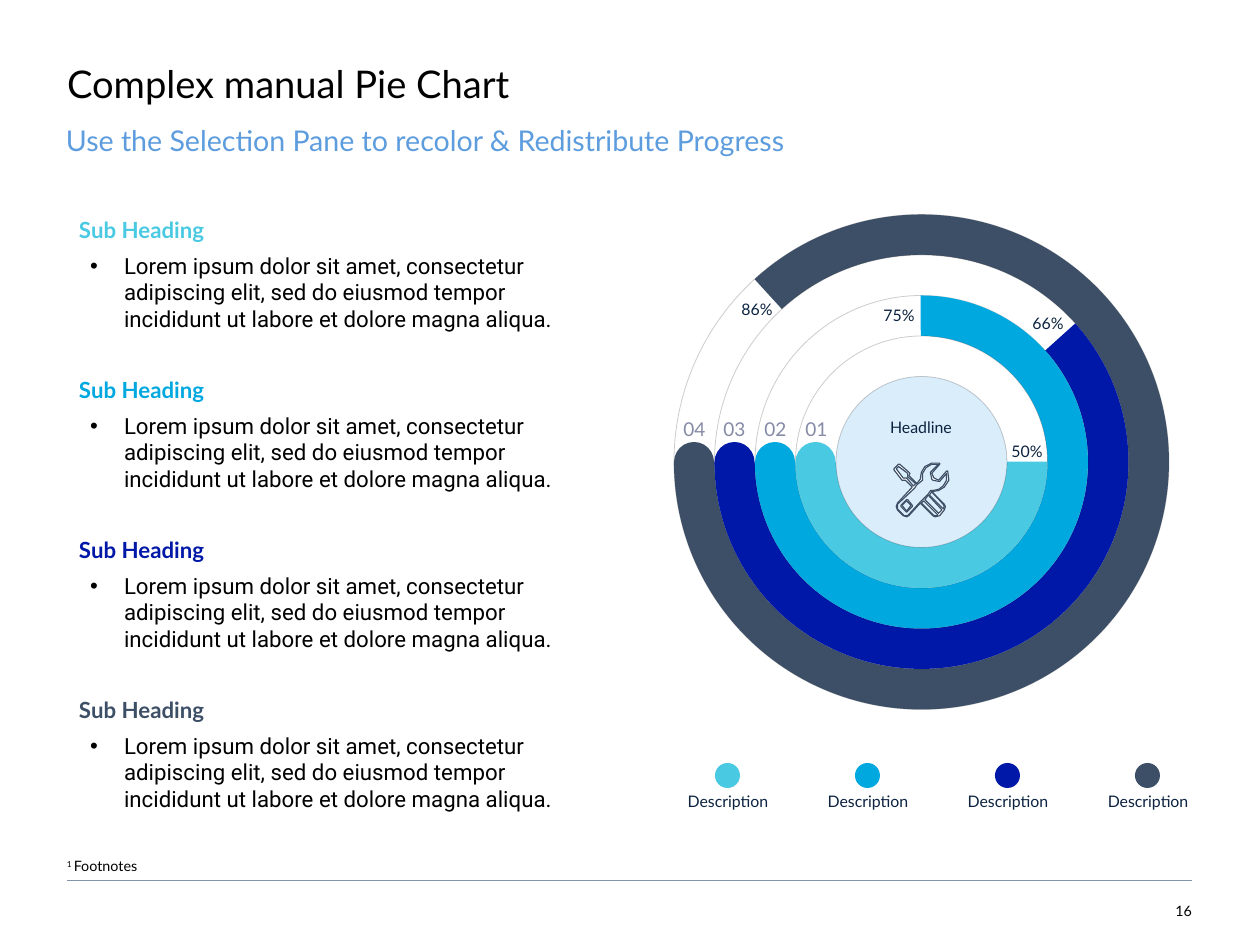
from lxml import etree
from pptx import Presentation
from pptx.dml.color import RGBColor
from pptx.enum.shapes import MSO_CONNECTOR, MSO_SHAPE
from pptx.enum.text import MSO_ANCHOR as ANCHOR, MSO_AUTO_SIZE, PP_ALIGN as ALIGN
from pptx.oxml.ns import qn
from pptx.util import Pt

PX = 8000  # EMU per px
BLACK = RGBColor(0x00, 0x00, 0x00)
WHITE = RGBColor(0xFF, 0xFF, 0xFF)
SKY = RGBColor(0x5D, 0x9D, 0xDE)
RULE = RGBColor(0x82, 0x96, 0xAA)
INK = RGBColor(0x0C, 0x23, 0x40)
MUTED = RGBColor(0x85, 0x8A, 0xA7)
PALE = RGBColor(0xDA, 0xED, 0xFB)
SLATE = RGBColor(0x3D, 0x4F, 0x66)
NAVY = RGBColor(0x00, 0x18, 0xA8)
BLUE = RGBColor(0x00, 0xA8, 0xE0)
CYAN = RGBColor(0x4A, 0xC9, 0xE3)
COLORS = [CYAN, BLUE, NAVY, SLATE]
LOREM = ("Lorem ipsum dolor sit amet, consectetur adipiscing elit, sed do "
         "eiusmod tempor incididunt ut labore et dolore magna aliqua.")

prs = Presentation()
prs.slide_width, prs.slide_height = 1260 * PX, 948 * PX
s = prs.slides.add_slide(prs.slide_layouts[4])


def write(box, text, size, color, align=ALIGN.LEFT, font="Lato", bold=False, ph=None):
    """Put one formatted paragraph in a text box, or in the placeholder ph."""
    sp = ph or s.shapes.add_textbox(0, 0, 0, 0)
    sp.left, sp.top, sp.width, sp.height = [v * PX for v in box]
    tf = sp.text_frame
    tf.word_wrap = True
    tf.auto_size = MSO_AUTO_SIZE.NONE
    tf.vertical_anchor = ANCHOR.TOP
    tf.margin_left = tf.margin_top = tf.margin_right = tf.margin_bottom = 0
    tf.text = text
    p = tf.paragraphs[0]
    p.alignment = align
    p.space_before = Pt(0)
    f = p.runs[0].font
    f.size, f.name, f.bold, f.color.rgb = Pt(size), font, bold, color
    return tf


def disc(x, y, d, color, kind=MSO_SHAPE.OVAL, outlined=False):
    sp = s.shapes.add_shape(kind, int(x * PX), int(y * PX), d * PX, d * PX)
    sp.shadow.inherit = False
    sp.fill.solid()
    sp.fill.fore_color.rgb = color
    if outlined:
        sp.line.width = Pt(0.5)
        sp.line.color.rgb = BLACK
        clr = sp.line._ln.find(".//" + qn("a:srgbClr"))
        etree.SubElement(clr, qn("a:alpha")).set("val", "20000")
    else:
        sp.line.fill.background()
    return sp


# Footer
rule = s.shapes.add_connector(MSO_CONNECTOR.STRAIGHT, 1192 * PX, 880 * PX, 67 * PX, 880 * PX)
rule.line.width = Pt(0.5)
rule.line.color.rgb = RULE
etree.SubElement(rule._element.spPr, qn("a:effectLst"))
tf = write((1125, 880, 67, 39), "16", 9, BLACK, ALIGN.RIGHT)
tf.vertical_anchor = ANCHOR.BOTTOM
tf.margin_bottom = 0
p = write((67, 857, 1126, 31), "1 ", 9, BLACK).paragraphs[0]
p.runs[0].font._element.set("baseline", "30000")
r = p.add_run()
r.text = "Footnotes"
r.font.size, r.font.name, r.font.color.rgb = Pt(9), "Lato", BLACK

# Headings
tf = write((67, 34, 1057, 123), "Complex manual Pie Chart", 24, BLACK, ph=s.shapes.title)
tf.margin_top = 32 * PX
tf.paragraphs[0].line_spacing = 0.9
tf = write((66, 127, 1145, 38), "Use the Selection Pane to recolor & Redistribute Progress", 18, SKY)
tf.paragraphs[0].line_spacing = 0.9

# Four described items
bodies = [ph for ph in s.placeholders if ph.placeholder_format.idx > 0]
for i, (color, body) in enumerate(zip(COLORS, bodies)):
    top = 216 + 160 * i
    write((79, top, 361, 19), "Sub Heading", 14, color, bold=True)
    tf = write((79, top + 30, 520, 97), LOREM, 14, BLACK, font="Roboto", ph=body)
    tf.margin_left = tf.margin_right = 11 * PX
    tf.margin_top = tf.margin_bottom = 6 * PX
    pPr = tf.paragraphs[0]._p.get_or_add_pPr()
    pPr.set("marL", str(34 * PX))
    pPr.set("indent", str(-34 * PX))
    etree.SubElement(pPr, qn("a:buFont")).set("typeface", "Arial")
    etree.SubElement(pPr, qn("a:buChar")).set("char", "•")

# Progress rings, outermost first: number, color, start angle, percentage, its place
CX, CY = 921.5, 462
rings = [
    ("04", SLATE, 227.6, "86%", 740, 300),
    ("03", NAVY, 318, "66%", 1031, 314),
    ("02", BLUE, 269.7, "75%", 882, 306),
    ("01", CYAN, 359.8, "50%", 1010, 442),
]
for i, (number, color, angle, *_) in enumerate(rings):
    d = 495 - 81 * i
    x, y = CX - d / 2, CY - d / 2
    disc(x, y, d, WHITE, outlined=True)
    pie = disc(x, y, d, color, MSO_SHAPE.PIE)
    pie.adjustments[0] = angle * 0.6
    pie.adjustments[1] = 180 * 0.6
    disc(x, CY - 20, 40, color)
    write((round(x) + 5, 418, 31, 27), number, 12, MUTED, ALIGN.CENTER)
disc(CX - 85.5, CY - 85.5, 171, PALE, outlined=True)
for *_, percent, x, y in rings:
    write((x, y, 34, 19), percent, 10, INK, ALIGN.CENTER)
write((882, 418, 78, 19), "Headline", 10, INK, ALIGN.CENTER)

# Crossed tools, in hundredths of an inch
tools = [
    [(16, 22), (10, 16), (7, 16), (0, 7), (0, 6), (4, 2), (5, 2), (13, 9), (14, 10), (13, 12),
     (20, 19), (23, 15), (24, 9), (27, 4), (33, 1), (40, 1), (40, 2), (33, 10), (35, 14),
     (39, 16), (46, 8), (47, 8), (48, 16), (44, 22), (39, 25), (33, 26), (44, 37), (45, 39),
     (44, 42), (40, 47), (36, 48), (34, 47), (23, 36), (13, 47), (11, 48), (8, 47), (3, 42),
     (2, 39), (3, 36)],
    [(26, 32), (30, 28), (32, 25), (34, 25), (39, 24), (43, 21), (46, 16), (46, 10), (40, 17),
     (39, 17), (34, 16), (33, 15), (32, 10), (32, 9), (39, 2), (33, 2), (28, 5), (25, 10),
     (25, 16), (20, 20), (18, 23), (3, 37), (3, 41), (9, 47), (12, 47), (23, 35)],
    [(11, 14), (17, 21), (19, 19), (12, 13), (12, 10), (4, 4), (2, 6), (8, 14)],
    [(11, 44), (16, 39), (16, 38), (12, 33), (11, 33), (6, 38), (6, 39)],
    [(7, 38), (11, 43), (15, 38), (11, 34)],
    [(31, 29), (43, 41), (44, 39), (43, 37), (33, 26)],
    [(38, 46), (26, 34), (24, 36), (35, 47), (38, 47)],
    [(27, 33), (39, 45), (42, 42), (30, 29)],
]
fb = s.shapes.build_freeform(*tools[0][0], scale=9144)
fb.add_line_segments(tools[0][1:])
for outline in tools[1:]:
    fb.move_to(*outline[0])
    fb.add_line_segments(outline[1:])
icon = fb.convert_to_shape(894 * PX, 462 * PX)
icon.shadow.inherit = False
icon.fill.solid()
icon.fill.fore_color.rgb = WHITE
icon.line.width = Pt(0)
icon.line.color.rgb = SLATE

# Legend
for i, color in enumerate(COLORS):
    x = 715 + 140 * i
    disc(x, 763, 25, color)
    write((x - 30, 792, 86, 41), "Description", 10, INK, ALIGN.CENTER)

prs.save("out.pptx")
